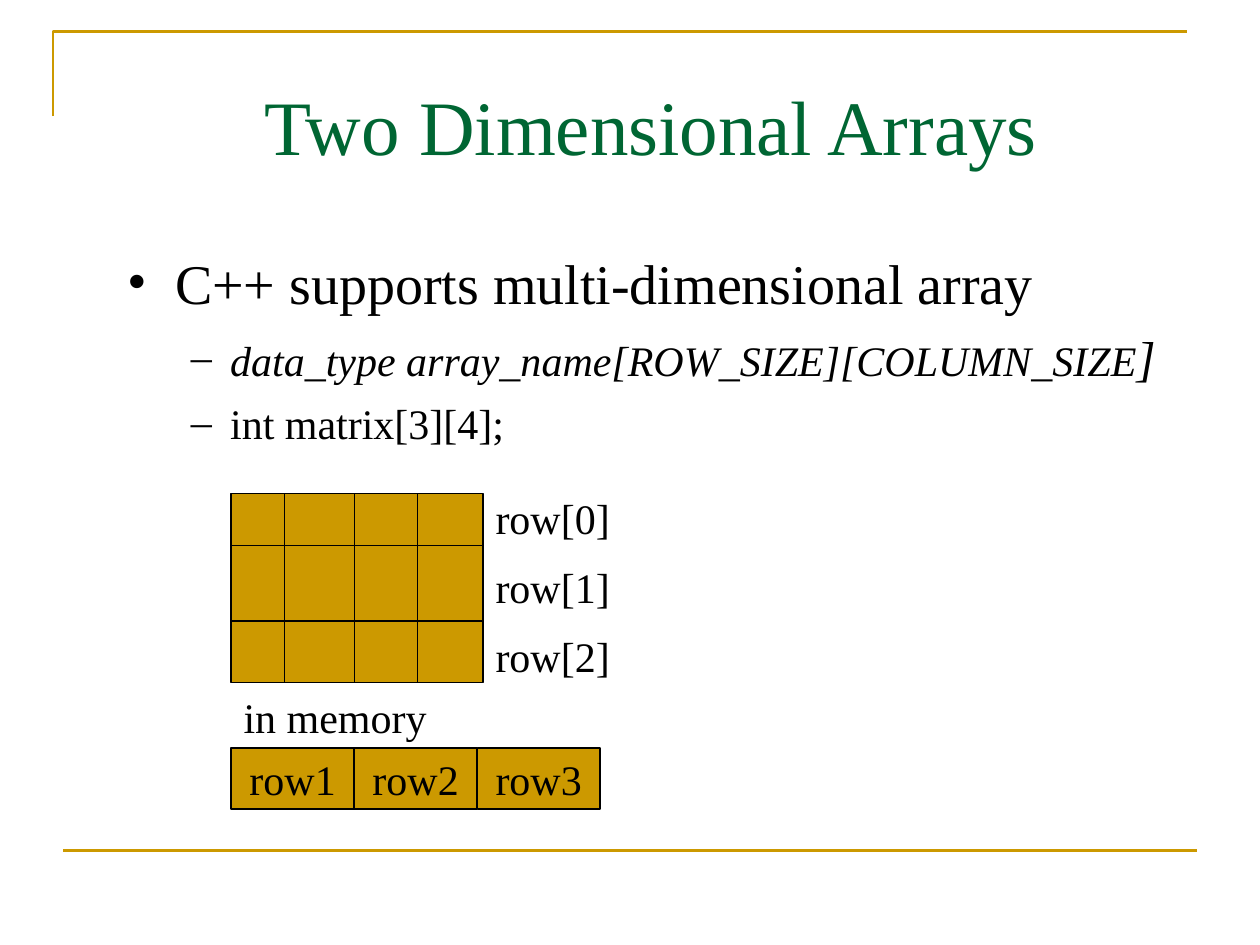
from lxml.etree import SubElement
from pptx import Presentation
from pptx.dml.color import RGBColor
from pptx.enum.shapes import MSO_CONNECTOR, MSO_SHAPE
from pptx.enum.text import MSO_ANCHOR, MSO_AUTO_SIZE, PP_ALIGN
from pptx.oxml.ns import qn
from pptx.util import Cm, Pt

COLOURS = {"gold": "CC9900", "green": "006633", "black": "000000"}
FONT = "Times New Roman"

deck = Presentation()
deck.slide_width, deck.slide_height = Cm(25.4), Cm(19.05)
page = deck.slides.add_slide(deck.slide_layouts[6])


def add_line(x1, y1, x2, y2, colour, width):
    line = page.shapes.add_connector(
        MSO_CONNECTOR.STRAIGHT, Cm(x1), Cm(y1), Cm(x2), Cm(y2))
    line.line.color.rgb = RGBColor.from_string(COLOURS[colour])
    line.line.width = Pt(width)
    SubElement(line._element.spPr, qn("a:effectLst"))


def add_span(para, text, size, colour="black", italic=False):
    span = para.add_run()
    span.text = text
    span.font.name = FONT
    span.font.size = Pt(size)
    span.font.italic = italic
    span.font.color.rgb = RGBColor.from_string(COLOURS[colour])


# Frame: corner at the top left, rule at the bottom
builder = page.shapes.build_freeform(Cm(1.07), Cm(2.34))
builder.add_line_segments(
    [(Cm(1.07), Cm(0.64)), (Cm(23.93), Cm(0.64))], close=False)
corner = builder.convert_to_shape()
corner.shadow.inherit = False
corner.fill.background()
corner.line.color.rgb = RGBColor.from_string(COLOURS["gold"])
corner.line.width = Pt(1.5)
add_line(1.27, 17.15, 24.13, 17.15, "gold", 1.5)

# Title
title = page.shapes.add_textbox(Cm(2.33), Cm(0.97), Cm(21.59), Cm(3.07))
title.text_frame.word_wrap = True
title.text_frame.vertical_anchor = MSO_ANCHOR.MIDDLE
para = title.text_frame.paragraphs[0]
para.alignment = PP_ALIGN.CENTER
add_span(para, "Two Dimensional Arrays", 44, "green")

# Bulleted text: level, bullet, margin, indent, space before, spans
points = [
    (0, "•", 0.95, -0.95, 0,
     [("C++ supports multi-dimensional array", 32, False)]),
    (1, "–", 2.06, -0.79, 7,
     [("data_type array_name[ROW_SIZE][COLUMN_SIZE", 24, True),
      ("]", 28, True)]),
    (1, "–", 2.06, -0.79, 6, [("int matrix[3][4];", 24, False)]),
]
body = page.shapes.add_textbox(Cm(2.33), Cm(4.88), Cm(21.59), Cm(11.43))
body.text_frame.word_wrap = True
for index, (level, bullet, margin, indent, before, spans) in enumerate(points):
    para = body.text_frame.add_paragraph() if index else body.text_frame.paragraphs[0]
    para.level = level
    props = para._p.get_or_add_pPr()
    props.set("marL", str(Cm(margin)))
    props.set("indent", str(Cm(indent)))
    bullet_colour = SubElement(props, qn("a:buClr"))
    SubElement(bullet_colour, qn("a:srgbClr"), val=COLOURS["black"])
    SubElement(props, qn("a:buFont"), typeface=FONT)
    SubElement(props, qn("a:buChar"), char=bullet)
    para.space_before = Pt(before)
    for text, size, italic in spans:
        add_span(para, text, size, italic=italic)

# Matrix of three rows and four columns
left, top, width, height = 4.66, 9.95, 5.08, 3.81
matrix = page.shapes.add_shape(
    MSO_SHAPE.RECTANGLE, Cm(left), Cm(top), Cm(width), Cm(height))
cells = [matrix]
for y in (11, 12.52):
    add_line(left, y, left + width, y, "black", 0.75)
for x in (5.74, 7.14, 8.41):
    add_line(x, top, x, top + height, "black", 0.75)

# Rows laid end to end in memory
cell_width = 2.48
for index in range(3):
    cell = page.shapes.add_shape(
        MSO_SHAPE.RECTANGLE, Cm(left + index * cell_width), Cm(15.08),
        Cm(cell_width), Cm(1.23))
    cell.text_frame.word_wrap = False
    cell.text_frame.vertical_anchor = MSO_ANCHOR.MIDDLE
    para = cell.text_frame.paragraphs[0]
    para.alignment = PP_ALIGN.CENTER
    add_span(para, f"row{index + 1}", 24)
    cells.append(cell)

for cell in cells:
    cell.shadow.inherit = False
    cell.fill.solid()
    cell.fill.fore_color.rgb = RGBColor.from_string(COLOURS["gold"])
    cell.line.color.rgb = RGBColor.from_string(COLOURS["black"])
    cell.line.width = Pt(0.75)

# Labels: left, top, width, height, line spacing, lines
labels = [
    (9.74, 9.95, 8.51, 3.91, 0.85, ["row[0]", "row[1]", "row[2]"]),
    (left, 13.82, 9.8, 1.27, 1, ["in memory"]),
]
for x, y, box_width, box_height, spacing, lines in labels:
    box = page.shapes.add_textbox(Cm(x), Cm(y), Cm(box_width), Cm(box_height))
    box.text_frame.word_wrap = True
    box.text_frame.auto_size = MSO_AUTO_SIZE.SHAPE_TO_FIT_TEXT
    for index, text in enumerate(lines):
        para = box.text_frame.add_paragraph() if index else box.text_frame.paragraphs[0]
        para.line_spacing = spacing
        para.space_before = Pt(15 if index else 0)
        add_span(para, text, 24)

deck.save("out.pptx")
